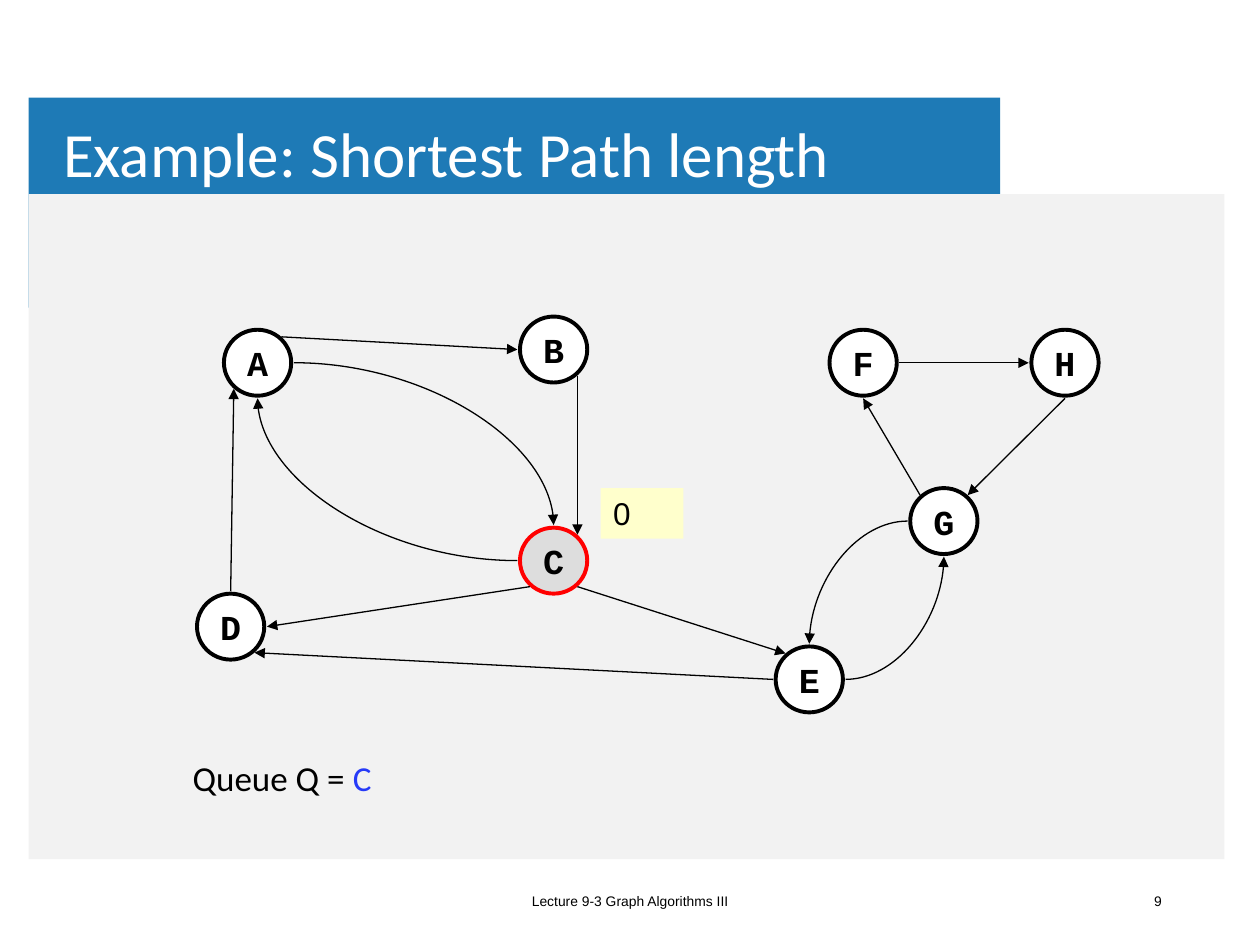
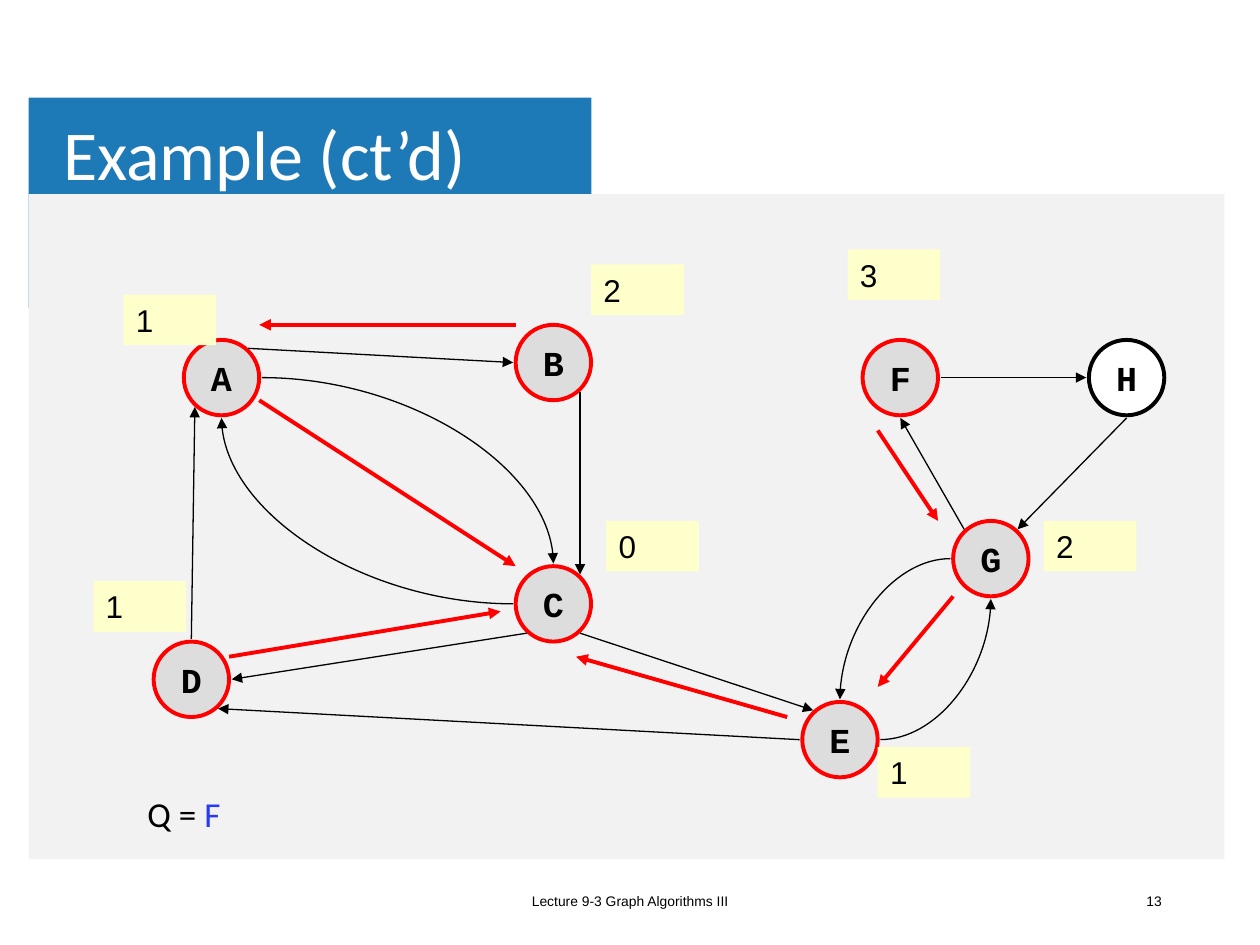
from collections import namedtuple
from lxml.etree import SubElement
from pptx import Presentation
from pptx.dml.color import RGBColor
from pptx.enum.shapes import MSO_CONNECTOR, MSO_SHAPE
from pptx.enum.text import MSO_ANCHOR, PP_ALIGN
from pptx.oxml.ns import qn
from pptx.util import Pt

COLORS = {
    "black": "000000",
    "white": "FFFFFF",
    "band": "1E7AB6",
    "panel": "F2F2F2",
    "seen": "DDDDDD",
    "red": "FF0000",
    "label": "FFFFCC",
    "queue": "263AF8",
}
NODES = {
    "A": (0, 0), "C": (22, 15), "B": (22, -1), "D": (-2, 20),
    "F": (45, 0), "H": (60, 0), "G": (51, 12), "E": (41, 24),
}
CURVES = [("A", "e", "C", "n"), ("C", "w", "A", "s"),
          ("G", "w", "E", "n"), ("E", "e", "G", "s")]
EDGES = [
    ("A", "ne", "B", "w"), ("B", "se", "C", "ne"), ("C", "sw", "D", "e"),
    ("D", "n", "A", "sw"), ("C", "se", "E", "nw"), ("E", "w", "D", "se"),
    ("G", "nw", "F", "s"), ("F", "e", "H", "w"), ("H", "s", "G", "ne"),
]
PARENTS = [
    (37.5, 22.5, 23.5, 18.5), (0.5, 18.5, 18.5, 15.5), (2.5, 1.5, 19.5, 12.5),
    (19.5, -3.5, 2.5, -3.5), (48.5, 14.5, 43.5, 20.5), (43.5, 3.5, 47.5, 9.5),
]
MARKS = {
    "C": (25.5, 9.5), "E": (43.5, 24.5), "A": (-6.5, -5.5), "D": (-8.5, 13.5),
    "B": (24.5, -7.5), "G": (54.5, 9.5), "F": (41.5, -8.5),
}
RADIUS = 2.5
GAP = 1.5
DIAG = 0.707

Grid = namedtuple("Grid", "left top dx dy")


def color(name):
    return RGBColor.from_string(COLORS[name])


def at(grid, x, y):
    return grid.left + x * grid.dx, grid.top + y * grid.dy


def site(grid, node, side):
    x, y = at(grid, *NODES[node])
    right = ("e" in side) - ("w" in side)
    down = ("s" in side) - ("n" in side)
    if right and down:
        return (x + right * RADIUS * DIAG * grid.dx,
                y + down * (RADIUS * DIAG * grid.dy + GAP))
    return (x + right * (RADIUS * grid.dx + GAP),
            y + down * (RADIUS * grid.dy + GAP))


def add_box(slide, box, fill, kind=MSO_SHAPE.RECTANGLE, edge=None):
    shape = slide.shapes.add_shape(kind, *map(Pt, box))
    shape.shadow.inherit = False
    shape.fill.solid()
    shape.fill.fore_color.rgb = color(fill)
    if edge:
        shape.line.color.rgb = color(edge)
        shape.line.width = Pt(2.25)
    else:
        shape.line.fill.background()
    return shape


def write(shape, text, size, font, ink="black", align=PP_ALIGN.LEFT,
          anchor=MSO_ANCHOR.MIDDLE, wrap=True, bold=False, tail=""):
    frame = shape.text_frame
    frame.word_wrap = wrap
    frame.vertical_anchor = anchor
    par = frame.paragraphs[0]
    par.alignment = align
    par.font.size = Pt(size)
    par.font.name = font
    par.font.bold = bold
    par.font.color.rgb = color(ink)
    par.add_run().text = text
    if tail:
        run = par.add_run()
        run.text = tail
        run.font.color.rgb = color("queue")
    return frame


def add_text(slide, box, text, size, font, **style):
    return write(slide.shapes.add_textbox(*map(Pt, box)),
                 text, size, font, **style)


def add_arrow(slide, start, end, ink="black", width=0.75, curved=False):
    kind = MSO_CONNECTOR.CURVE if curved else MSO_CONNECTOR.STRAIGHT
    arrow = slide.shapes.add_connector(kind, *map(Pt, start + end))
    arrow.line.color.rgb = color(ink)
    arrow.line.width = Pt(width)
    props = arrow.element.spPr
    if curved:
        props.find(qn("a:prstGeom")).set("prst", "curvedConnector2")
    SubElement(props.find(qn("a:ln")), qn("a:tailEnd"), type="triangle")
    SubElement(props, qn("a:effectLst"))


def add_frame(deck, title, size, band, number):
    slide = deck.slides.add_slide(deck.slide_layouts[6])
    add_box(slide, (16.4, 55.8, band, 120), "band")
    add_box(slide, (16.4, 111, 683.3, 380), "panel")
    frame = add_text(slide, (31, 54.7, 578, 70.6), title, size, "Calibri",
                     ink="white")
    frame.margin_left = frame.margin_right = Pt(5)
    frame.margin_top = frame.margin_bottom = Pt(2.9)
    frame.paragraphs[0].line_spacing = 0.9
    add_text(slide, (238.3, 500.4, 243.4, 28.8),
             "Lecture 9-3 Graph Algorithms III", 7.9, "Arial",
             align=PP_ALIGN.CENTER)
    add_text(slide, (509, 500.4, 162, 28.8), number, 7.9, "Arial",
             align=PP_ALIGN.RIGHT)
    return slide


def add_graph(slide, grid, seen):
    for name, spot in NODES.items():
        x, y = at(grid, *spot)
        wide, high = RADIUS * grid.dx, RADIUS * grid.dy
        fill, edge = ("seen", "red") if name in seen else ("white", "black")
        node = add_box(slide, (x - wide, y - high, 2 * wide, 2 * high),
                       fill, MSO_SHAPE.OVAL, edge)
        write(node, name, 20, "Courier New", align=PP_ALIGN.CENTER,
              wrap=False, bold=True)
    for group, curved in ((CURVES, True), (EDGES, False)):
        for tail, out, head, into in group:
            add_arrow(slide, site(grid, tail, out), site(grid, head, into),
                      curved=curved)


def add_marks(slide, grid, marks):
    for name, value in marks.items():
        box = (*at(grid, *MARKS[name]), 6.15 * grid.dx, 28.9)
        write(add_box(slide, box, "label"), value, 18, "Arial",
              anchor=MSO_ANCHOR.TOP)


def add_queue(slide, box, text, item):
    add_text(slide, box, text, 20, "Calibri", anchor=MSO_ANCHOR.TOP, tail=item)


def main():
    deck = Presentation()
    deck.slide_width, deck.slide_height = Pt(720), Pt(540)

    grid = Grid(147.2, 207.3, 7.69, 7.54)
    slide = add_frame(deck, "Example: Shortest Path length", 36, 555.2, "9")
    add_graph(slide, grid, "C")
    add_marks(slide, grid, {"C": "0"})
    add_queue(slide, (103, 428.5, 211.7, 31.7), "Queue Q = ", "C")

    grid = Grid(126.6, 215.8, 8.62, 8.62)
    slide = add_frame(deck, "Example (ct’d)", 40, 321.6, "13")
    add_graph(slide, grid, "ABCDEFG")
    add_marks(slide, grid, {"C": "0", "E": "1", "A": "1", "D": "1",
                            "B": "2", "G": "2", "F": "3"})
    add_queue(slide, (77.2, 449.3, 123.8, 31.7), "Q = ", "F")
    for x1, y1, x2, y2 in PARENTS:
        add_arrow(slide, at(grid, x1, y1), at(grid, x2, y2), "red", 2.25)

    deck.save("out.pptx")


if __name__ == "__main__":
    main()
